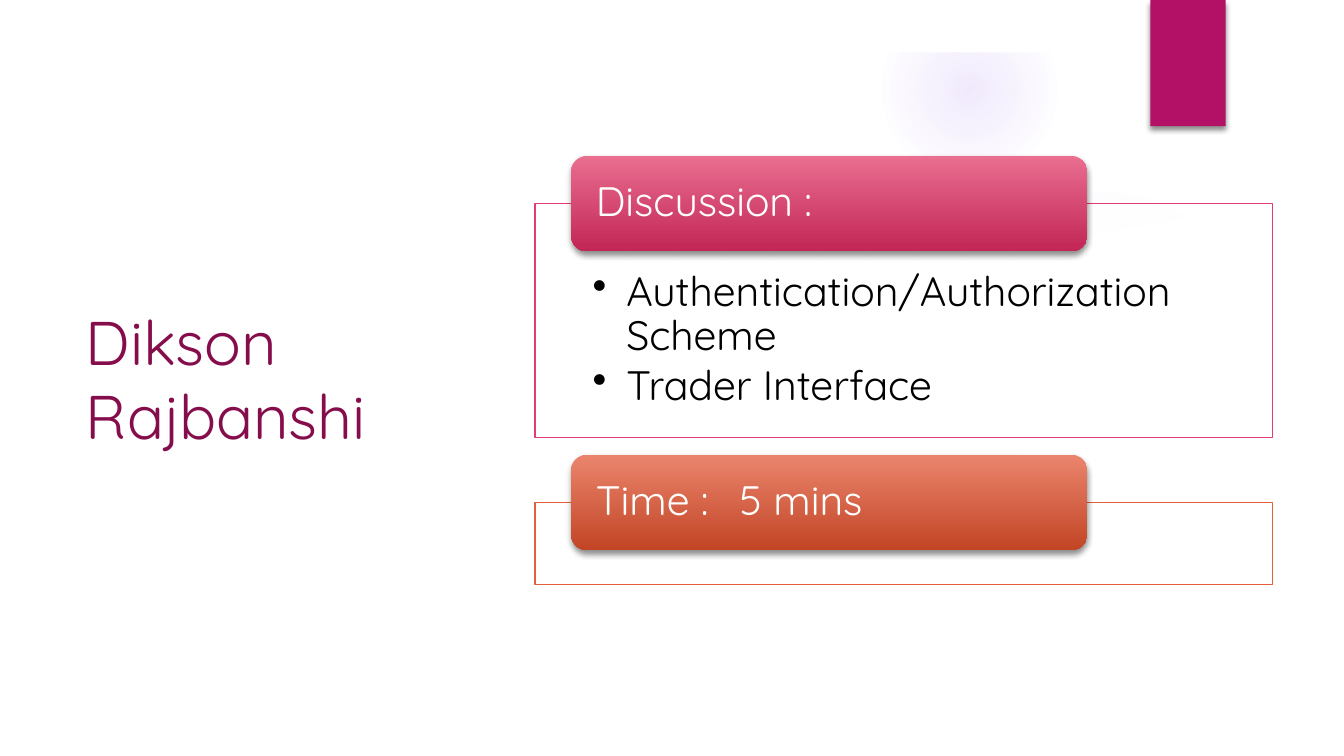
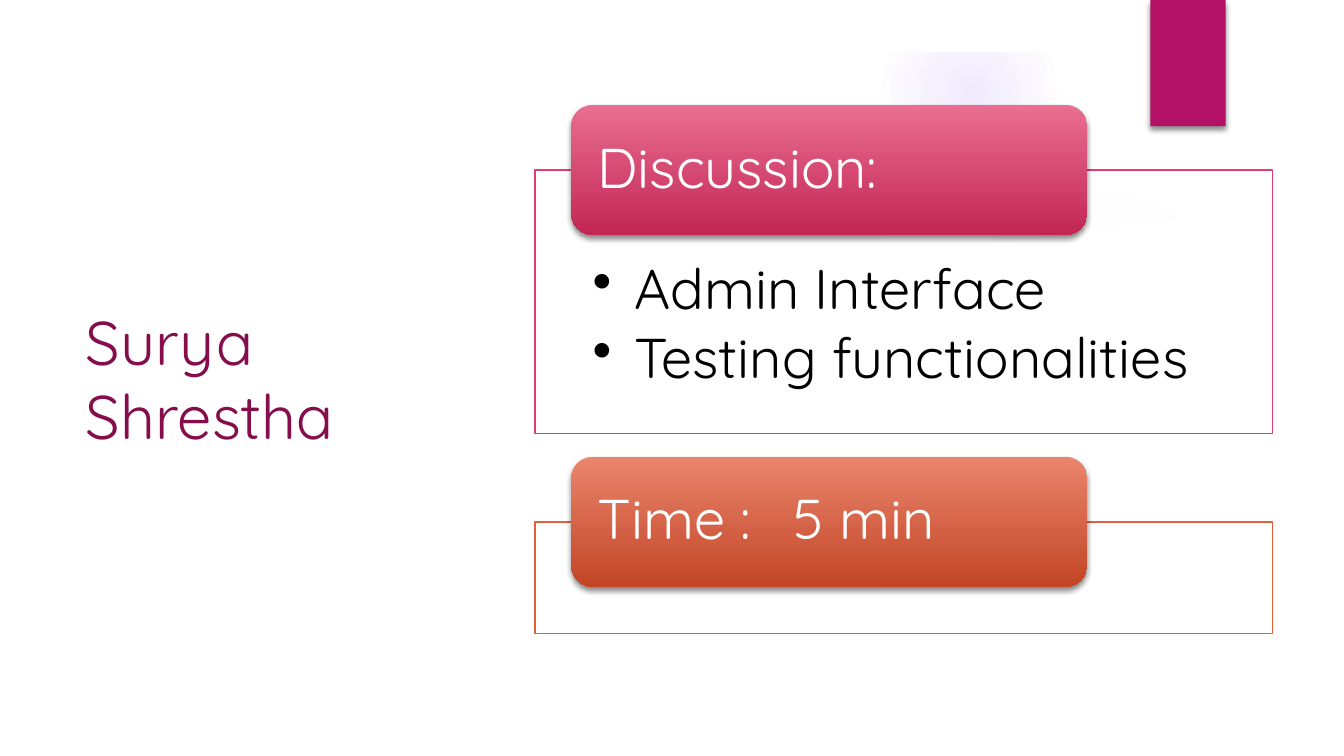
from dataclasses import dataclass

from lxml import etree
from pptx import Presentation, util as u
from pptx.dml.color import RGBColor
from pptx.enum import shapes, text
from pptx.oxml import ns


@dataclass(frozen=True)
class Theme:
    font: str = "Quicksand"
    title_size: int = 33
    title: str = "860D4C"
    tag: str = "B31166"
    glow: str = "9B6BF2"
    white: str = "FFFFFF"
    black: str = "000000"
    # Outline, header top and header bottom of each section
    sections: tuple = (("E33D6F", "E96E90", "C22655"),
                       ("E45F3C", "EA856D", "C24525"))


theme = Theme()
SHAPE = shapes.MSO_SHAPE

presentation = Presentation()
presentation.slide_width = u.Inches(10)
presentation.slide_height = u.Inches(5.625)
cell = presentation.slide_width / 100  # square grid: 100 columns by 56.25 rows
ROWS = 56.25

# Upper edge of the white panel, from right to left, in columns and rows
PANEL_EDGE = [(96.25, 15.3), (90, 16.3), (83.7, 17), (75.3, 17.8), (67, 18.3),
              (59, 18.5), (51.2, 18.6), (43.7, 18.5), (36.6, 18.2),
              (30.1, 17.9), (24, 17.5), (18.7, 17), (11.9, 16.3), (3.75, 15.3)]

# Glows: left, top, diameter, then (position, opacity) of each stop in percent
GLOWS = [(70.6, 13.8, 23.1, [(0, 7), (36, 6), (69, 0), (100, 0)]),
         (65.6, 0.1, 13.1, [(0, 14), (36, 7), (73, 0), (100, 0)])]

SLIDES = [
    dict(name="Dikson Rajbanshi", size=22, top=11.6, body=17.4, indent=0.25,
         headers=("Discussion :", "Time : \t5 mins"),
         topics=("Authentication/Authorization Scheme", "Trader Interface")),
    dict(name="Surya Shrestha", size=30, top=7.8, body=19.6, indent=0.31,
         headers=("Discussion:", "Time :\t5 min"),
         topics=("Admin Interface", "Testing functionalities")),
]


def add_box(slide, kind, left, top, width, height, stops, radial=False, shadow=False):
    """Preset shape filled with stops of (position, colour, opacity)."""
    shape = slide.shapes.add_shape(
        kind, *(round(n * cell) for n in (left, top, width, height)))
    shape.line.fill.background()
    shape.shadow.inherit = False
    shape.fill.background()
    properties = shape._element.spPr
    empty = properties.find(ns.qn("a:noFill"))
    colours = [f'<a:srgbClr val="{colour}"><a:alpha val="{opacity * 1000}"/></a:srgbClr>'
               for _, colour, opacity in stops]
    if len(stops) == 1:
        fill = f'<a:solidFill {ns.nsdecls("a")}>{colours[0]}</a:solidFill>'
    else:
        marks = "".join(f'<a:gs pos="{stop[0] * 1000}">{colour}</a:gs>'
                        for stop, colour in zip(stops, colours))
        direction = ('<a:path path="circle"><a:fillToRect l="50000" t="50000" '
                     'r="50000" b="50000"/></a:path>' if radial
                     else '<a:lin ang="5400000" scaled="0"/>')
        fill = (f'<a:gradFill {ns.nsdecls("a")}><a:gsLst>{marks}</a:gsLst>'
                f'{direction}</a:gradFill>')
    properties.replace(empty, etree.fromstring(fill))
    if shadow:
        properties.find(ns.qn("a:effectLst")).append(etree.fromstring(
            f'<a:outerShdw {ns.nsdecls("a")} blurRad="38100" dist="25400" '
            f'dir="5400000" rotWithShape="0"><a:srgbClr val="{theme.black}">'
            '<a:alpha val="45000"/></a:srgbClr></a:outerShdw>'))
    return shape


def write(shape, lines, size, colour, anchor, margins, spacing=0.9):
    """Left-aligned wrapped lines; margins are left, top, right, bottom in cells."""
    frame = shape.text_frame
    frame.word_wrap = True
    frame.vertical_anchor = anchor
    (frame.margin_left, frame.margin_top,
     frame.margin_right, frame.margin_bottom) = (round(n * cell) for n in margins)
    frame.text = "\n".join(lines)
    for paragraph in frame.paragraphs:
        paragraph.alignment = text.PP_ALIGN.LEFT
        paragraph.line_spacing = spacing
        for run in paragraph.runs:
            run.font.name = theme.font
            run.font.size = u.Pt(size)
            run.font.color.rgb = RGBColor.from_string(colour)
    return frame.paragraphs


for content in SLIDES:
    slide = presentation.slides.add_slide(presentation.slide_layouts[6])
    size = content["size"]

    # Background: glows, white panel with a curved top, white frame
    for left, top, diameter, stops in GLOWS:
        add_box(slide, SHAPE.OVAL, left, top, diameter, diameter,
                [(position, theme.glow, opacity) for position, opacity in stops],
                radial=True)
    builder = slide.shapes.build_freeform(3.75, 52.5, scale=cell)
    builder.add_line_segments([(96.25, 52.5), *PANEL_EDGE], close=True)
    panel = builder.convert_to_shape()
    panel.fill.solid()
    panel.fill.fore_color.rgb = RGBColor.from_string(theme.white)
    panel.line.fill.background()
    panel.shadow.inherit = False
    border = add_box(slide, SHAPE.FRAME, 0, 0, 100, ROWS, [(0, theme.white, 100)])
    border.adjustments[0] = 3.9 / ROWS

    # Corner tag and name
    add_box(slide, SHAPE.RECTANGLE, 85.6, 0, 5.6, 9.4, [(0, theme.tag, 100)], shadow=True)
    title = slide.shapes.add_textbox(
        *(round(n * cell) for n in (5.4, 11.3, 29.1, 33.6)))
    write(title, [content["name"]], theme.title_size, theme.title,
          text.MSO_ANCHOR.MIDDLE, (1, 0.5, 1, 0.5), spacing=1.0)

    # Sections: an outlined box with a header over its upper edge
    header_height = 0.323 * size
    top = content["top"]
    bodies = ((content["body"], content["topics"]), (0.277 * size, ()))
    for header, (height, topics), (outline, light, dark) in zip(
            content["headers"], bodies, theme.sections):
        box_top = top + header_height / 2
        box = add_box(slide, SHAPE.RECTANGLE, 39.8, box_top, 54.9, height,
                      [(0, theme.white, 90)])
        box.line.color.rgb = RGBColor.from_string(outline)
        box.line.width = u.Pt(0.75)
        if topics:
            for paragraph in write(box, topics, size, theme.black, text.MSO_ANCHOR.TOP,
                                   (4.3, 0.227 * size, 4.3, 0.077 * size)):
                paragraph.space_after = u.Pt(0.15 * size)
                properties = paragraph._p.get_or_add_pPr()
                indent = u.Inches(content["indent"])
                properties.set("marL", str(indent))
                properties.set("indent", str(-indent))
                etree.SubElement(properties, ns.qn("a:buChar")).set("char", "•")
        label = add_box(slide, SHAPE.ROUNDED_RECTANGLE, 42.5, top, 38.4, header_height,
                        [(0, light, 100), (100, dark, 100)], shadow=True)
        paragraph = write(label, [header], size, theme.white,
                          text.MSO_ANCHOR.MIDDLE, (1.5, 0, 1.5, 0))[0]
        # Tab stops grow with the type size
        paragraph._p.get_or_add_pPr().set("defTabSz", str(size * 44450))
        top = box_top + height + 0.058 * size

presentation.save("out.pptx")
